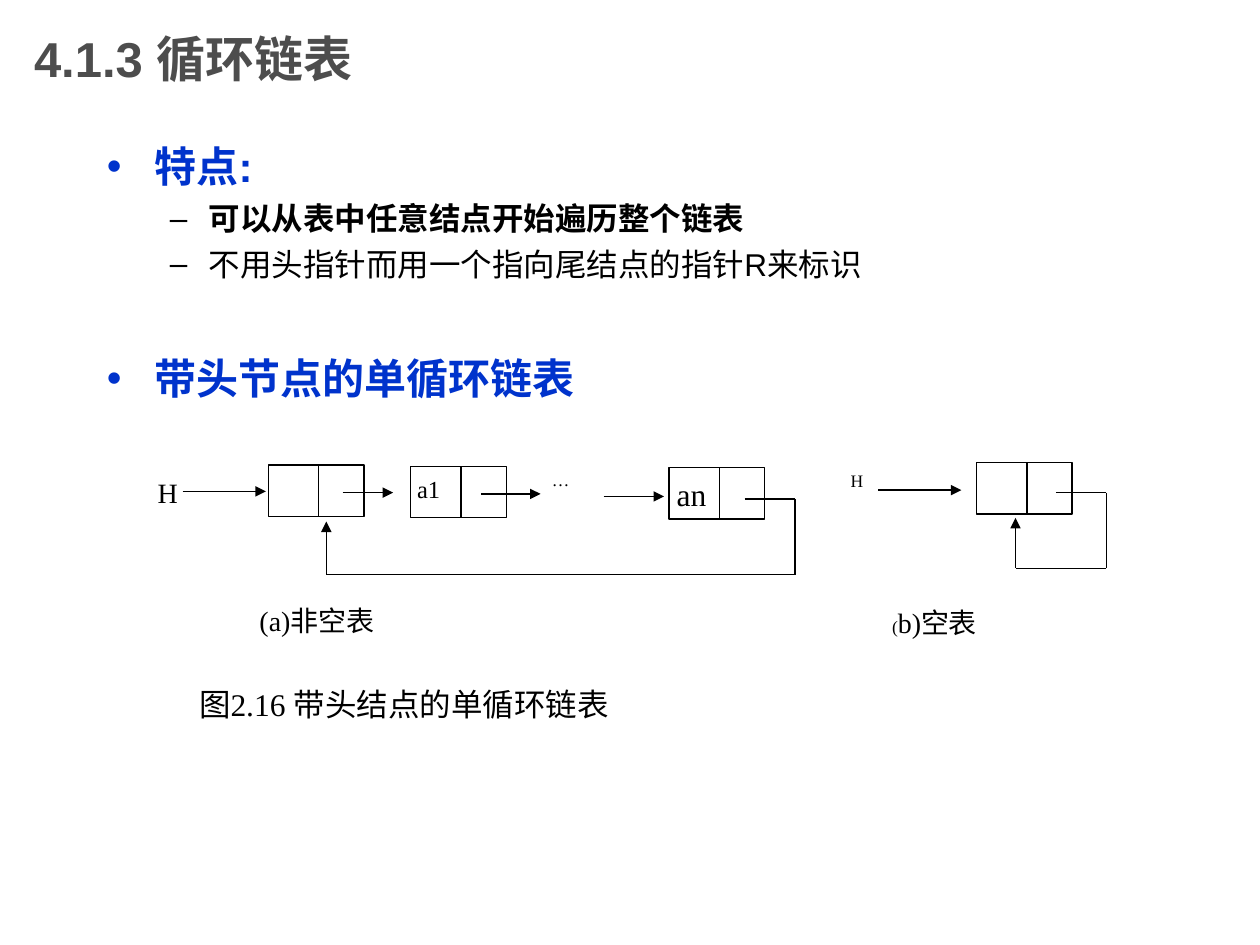
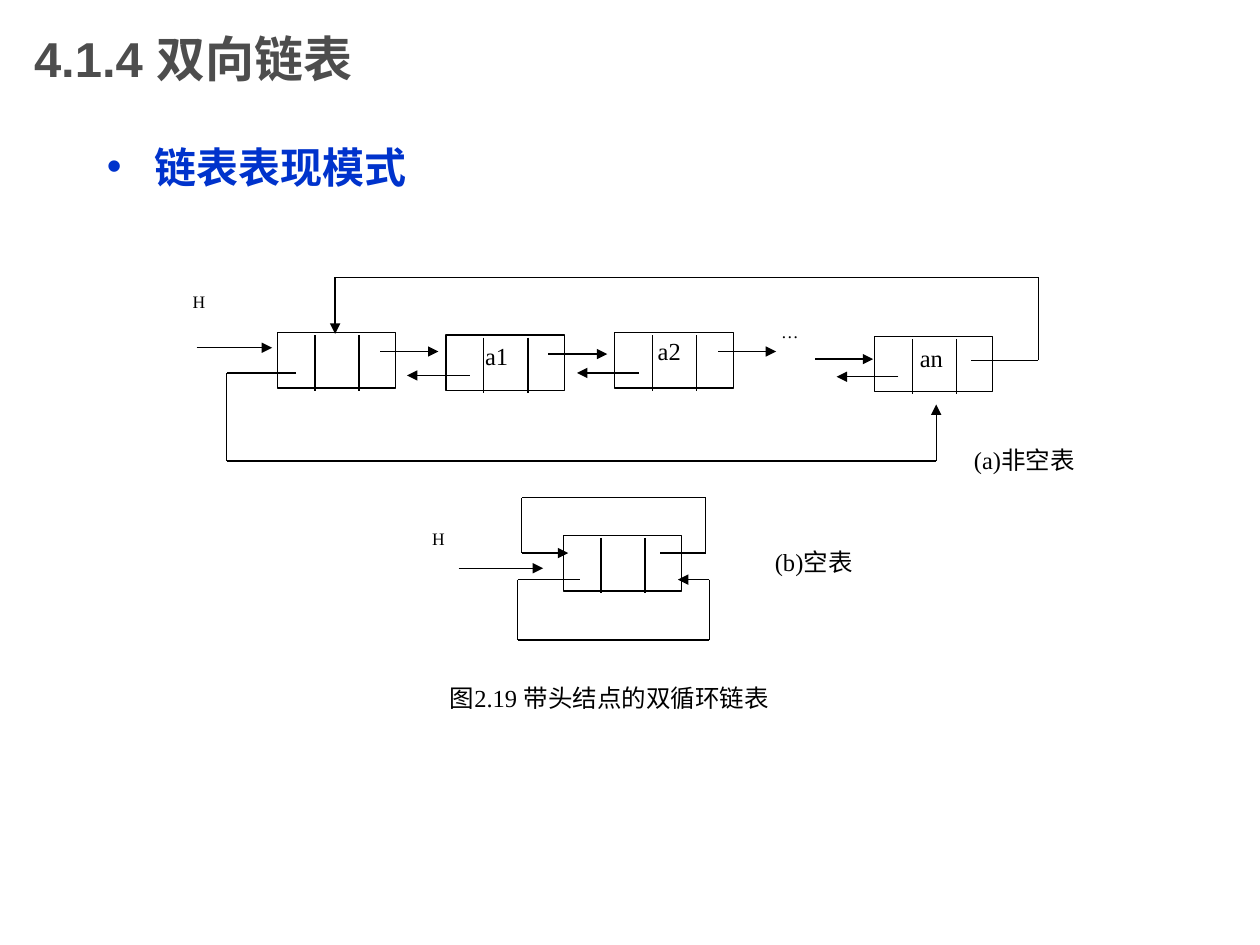
"""Build two slides on circular and doubly linked lists."""
import itertools

import pptx
import pptx.dml.color
import pptx.enum.shapes
import pptx.enum.text
import pptx.oxml.ns
import pptx.util
from lxml import etree

Inches = pptx.util.Inches
Pt = pptx.util.Pt
RGBColor = pptx.dml.color.RGBColor

GREY = RGBColor(0x4D, 0x4D, 0x4D)
BLUE = RGBColor(0x00, 0x33, 0xCC)
BLACK = RGBColor(0x00, 0x00, 0x00)
WHITE = RGBColor(0xFF, 0xFF, 0xFF)
SANS = "Arial"
SERIF = "Times New Roman"
LINE = Pt(0.75)


def add_tag(parent, name, **attrs):
    return etree.SubElement(parent, pptx.oxml.ns.qn("a:" + name), attrs)


def set_font(para, name, size, color, bold=False):
    font = para.font
    font.name, font.size, font.bold = name, Pt(size), bold
    font.color.rgb = color


class Deck:
    def __init__(self):
        self.show = pptx.Presentation()
        self.show.slide_width = Inches(10)
        self.show.slide_height = Inches(7.5)

    def start(self, title):
        self.slide = self.show.slides.add_slide(self.show.slide_layouts[5])
        self.shapes = self.slide.shapes
        head = self.shapes.title
        head.left, head.top = Inches(0.17), Inches(0)
        head.width, head.height = Inches(7.5), Inches(0.92)
        frame = head.text_frame
        frame.text = title
        frame.vertical_anchor = pptx.enum.text.MSO_ANCHOR.MIDDLE
        para = frame.paragraphs[0]
        para.alignment = pptx.enum.text.PP_ALIGN.LEFT
        set_font(para, SANS, 28, GREY, True)

    def box(self, left, top, width, height):
        shape = self.shapes.add_textbox(
            Inches(left), Inches(top), Inches(width), Inches(height))
        shape.text_frame.word_wrap = True
        return shape.text_frame

    def body(self, height, items):
        """Write (level, text, bold, space before) items as bullets."""
        frame = self.box(0.75, 1.07, 8.9, height)
        for place, (level, text, bold, space) in enumerate(items):
            para = frame.add_paragraph() if place else frame.paragraphs[0]
            para.text, para.level = text, level
            margin, hang, mark, size, color = (
                (0.81, 0.31, "–", 18, BLACK) if level
                else (0.38, 0.38, "•", 24, BLUE))
            props = para._p.get_or_add_pPr()
            props.set("marL", str(Inches(margin)))
            props.set("indent", str(-Inches(hang)))
            add_tag(add_tag(props, "buClr"), "srgbClr", val=str(color))
            add_tag(props, "buFont", typeface=SANS)
            add_tag(props, "buChar", char=mark)
            para.space_before = Pt(space)
            set_font(para, SANS, size, color, bold)

    def label(self, left, top, width, height, text, size):
        frame = self.box(left, top, width, height)
        frame.margin_left = frame.margin_right = 0
        frame.margin_top = frame.margin_bottom = 0
        para = frame.paragraphs[0]
        para.text = text
        set_font(para, SERIF, size, BLACK)
        return para

    def route(self, *points, arrow=True):
        """Join the points with lines, with an arrowhead on the last."""
        for (x1, y1), (x2, y2) in itertools.pairwise(points):
            line = self.shapes.add_connector(
                pptx.enum.shapes.MSO_CONNECTOR.STRAIGHT,
                Inches(x1), Inches(y1), Inches(x2), Inches(y2))
            line.line.color.rgb, line.line.width = BLACK, LINE
            add_tag(line._element.spPr, "effectLst")
        if arrow:
            add_tag(line.line._get_or_add_ln(), "tailEnd", type="triangle")

    def node(self, left, top, width, height, cuts, drop=0):
        shape = self.shapes.add_shape(
            pptx.enum.shapes.MSO_SHAPE.RECTANGLE,
            Inches(left), Inches(top), Inches(width), Inches(height))
        shape.shadow.inherit = False
        shape.fill.solid()
        shape.fill.fore_color.rgb = WHITE
        shape.line.color.rgb, shape.line.width = BLACK, LINE
        for cut in cuts:
            x, y = left + cut, top + drop
            self.route((x, y), (x, y + height), arrow=False)

    def single(self, left, top):
        self.node(left, top, 0.76, 0.41, [0.4])

    def double(self, left, top):
        self.node(left, top, 0.94, 0.44, [0.3, 0.65], 0.02)


def draw_ring(deck):
    deck.start("4.1.3 循环链表")
    deck.body(2.4, [
        (0, "特点:", True, 0),
        (1, "可以从表中任意结点开始遍历整个链表", True, 4.5),
        (1, "不用头指针而用一个指向尾结点的指针R来标识", False, 4.5),
        (0, "带头节点的单循环链表", True, 40),
    ])
    for left, top in [(2.13, 3.69), (3.26, 3.7), (5.31, 3.71), (7.75, 3.67)]:
        deck.single(left, top)
    for left, top, width, height, text, size in [
        (1.25, 3.77, 0.41, 0.31, "H", 16),
        (3.31, 3.76, 0.29, 0.3, "a1", 14),
        (4.38, 3.72, 0.4, 0.4, "…", 10),
        (5.37, 3.77, 0.29, 0.3, "an", 18),
        (6.75, 3.73, 0.32, 0.3, "H", 10),
        (2.06, 4.79, 1.6, 0.49, "(a)非空表", 16),
        (1.58, 5.44, 6.63, 0.6, "图2.16 带头结点的单循环链表", 18),
    ]:
        deck.label(left, top, width, height, text, size)
    run = deck.label(7.08, 4.81, 0.8, 0.4, "(", 10).add_run()
    run.text, run.font.size = "b)空表", Pt(16)
    for start, end, y in [(1.45, 2.11, 3.9), (2.72, 3.12, 3.91),
                          (3.82, 4.29, 3.92), (4.79, 5.27, 3.94),
                          (6.97, 7.63, 3.89)]:
        deck.route((start, y), (end, y))
    deck.route((5.91, 3.96), (6.31, 3.96), (6.31, 4.56), (2.59, 4.56),
               (2.59, 4.14))
    deck.route((8.38, 3.91), (8.78, 3.91), (8.78, 4.51), (8.06, 4.51),
               (8.06, 4.11))


def draw_double(deck):
    deck.start("4.1.4 双向链表")
    deck.body(1.02, [(0, "链表表现模式", True, 0)])
    for left, top in [(2.2, 2.64), (3.54, 2.66), (4.88, 2.64), (6.94, 2.67),
                      (4.47, 4.25)]:
        deck.double(left, top)
    for left, top, width, height, text, size in [
        (1.53, 2.31, 0.37, 0.35, "H", 10),
        (3.85, 2.71, 0.2, 0.31, "a1", 14),
        (5.22, 2.67, 0.27, 0.35, "a2", 14),
        (6.2, 2.55, 0.37, 0.44, "…", 10),
        (7.3, 2.72, 0.2, 0.31, "an", 14),
        (7.73, 3.53, 1.13, 0.67, "(a)非空表", 14),
        (3.43, 4.19, 0.18, 0.44, "H", 10),
        (6.15, 4.34, 0.73, 0.44, "(b)空表", 14),
        (3.57, 5.42, 2.8, 0.53, "图2.19 带头结点的双循环链表", 14),
    ]:
        deck.label(left, top, width, height, text, size)
    for start, end, y in [(1.56, 2.16, 2.76), (3.02, 3.48, 2.79),
                          (4.35, 4.82, 2.81), (5.7, 6.16, 2.79),
                          (6.47, 6.93, 2.85), (3.73, 3.23, 2.98),
                          (5.07, 4.58, 2.96), (7.13, 6.64, 2.99),
                          (3.64, 4.31, 4.51)]:
        deck.route((start, y), (end, y))
    deck.route((7.71, 2.86), (8.24, 2.86), (8.24, 2.2), (2.66, 2.2),
               (2.66, 2.65))
    deck.route((2.35, 2.96), (1.8, 2.96), (1.8, 3.66), (7.43, 3.66),
               (7.43, 3.21))
    deck.route((5.24, 4.39), (5.6, 4.39), (5.6, 3.95), (4.14, 3.95),
               (4.14, 4.39), (4.51, 4.39))
    deck.route((4.6, 4.6), (4.11, 4.6), (4.11, 5.08), (5.63, 5.08),
               (5.63, 4.6), (5.38, 4.6))


def main():
    deck = Deck()
    draw_ring(deck)
    draw_double(deck)
    deck.show.save("out.pptx")


if __name__ == "__main__":
    main()
